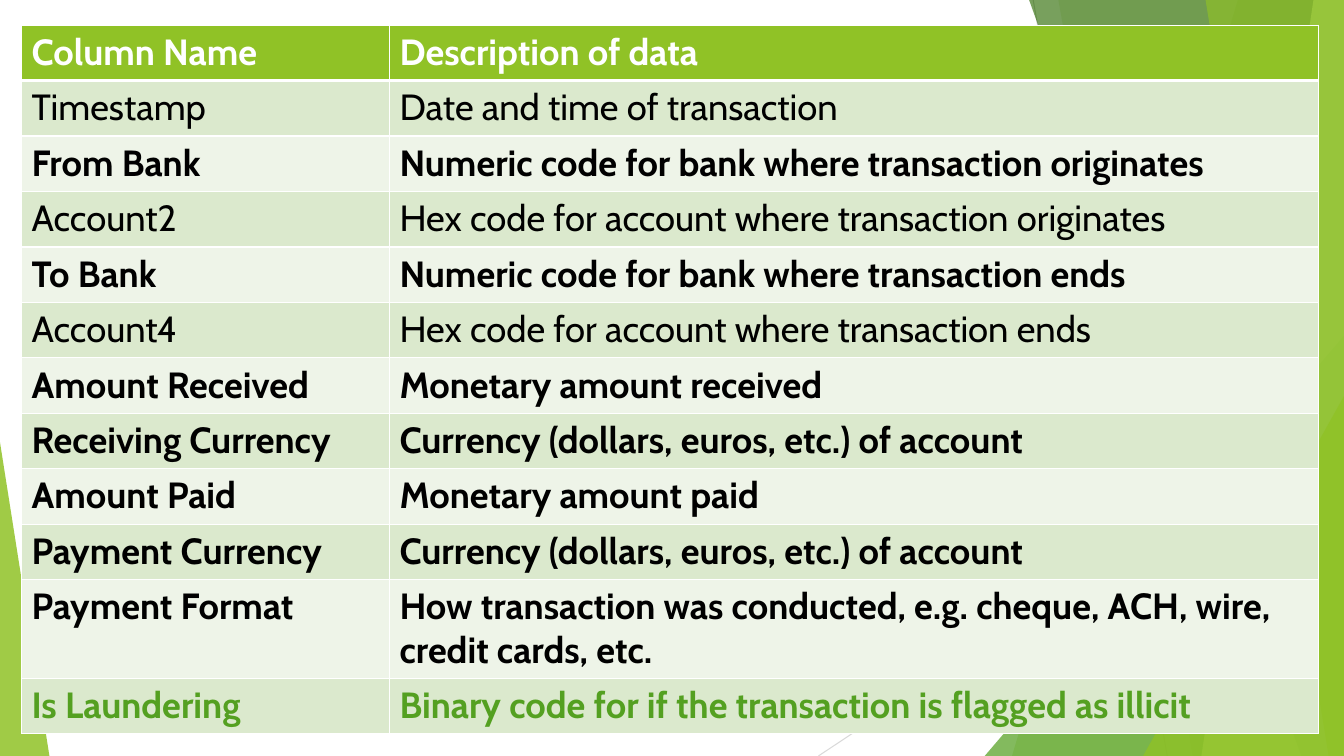
import pptx
import pptx.dml.color
import pptx.enum.shapes
import pptx.oxml
import pptx.oxml.ns
import pptx.util

Pt = pptx.util.Pt
SHAPE = pptx.enum.shapes.MSO_SHAPE
WIDTH, HEIGHT = 960, 540
LIME, GREEN, WHITE, BLACK = "90C226", "54A021", "FFFFFF", "000000"
BANDS = ("DBE9CD", "EEF4E8")
ROW_HEIGHT, TALL_ROW_HEIGHT = 39.6, 69.84
COLUMN_WIDTHS = (262.8, 663.84)

HEADER = {"size": Pt(26), "name": "Cabin", "bold": True, "color": WHITE}
PLAIN = {**HEADER, "bold": False, "color": BLACK}
BOLD = {**HEADER, "color": BLACK}
FLAG = {**HEADER, "color": GREEN}

ROWS = [
    ("Column Name", "Description of data", HEADER),
    ("Timestamp", "Date and time of transaction", PLAIN),
    ("From Bank", "Numeric code for bank where transaction originates", BOLD),
    ("Account2", "Hex code for account where transaction originates", PLAIN),
    ("To Bank", "Numeric code for bank where transaction ends", BOLD),
    ("Account4", "Hex code for account where transaction ends", PLAIN),
    ("Amount Received", "Monetary amount received", BOLD),
    ("Receiving Currency", "Currency (dollars, euros, etc.) of account", BOLD),
    ("Amount Paid", "Monetary amount paid", BOLD),
    ("Payment Currency", "Currency (dollars, euros, etc.) of account", BOLD),
    ("Payment Format", "How transaction was conducted, e.g. cheque, ACH, wire, credit cards, etc.", BOLD),
    ("Is Laundering", "Binary code for if the transaction is flagged as illicit", FLAG),
]
TALL_ROW = 10


def rgb(color):
    """Turn a hex string into a colour."""
    return pptx.dml.color.RGBColor.from_string(color)


def xml(tag, body="", attrs=""):
    """Build a drawing element from its tag, content and attributes."""
    ns = pptx.oxml.ns.nsdecls("a")
    return pptx.oxml.parse_xml(f"<a:{tag} {ns} {attrs}>{body}</a:{tag}>")


def paint(sp, color, opacity):
    """Fill a shape with a see-through colour and drop its outline and shadow."""
    sp.shadow.inherit = False
    sp.line.fill.background()
    sp.fill.solid()
    sp.fill.fore_color.rgb = rgb(color)
    fill = sp._element.spPr.find(pptx.oxml.ns.qn("a:solidFill"))
    fill[0].append(xml("alpha", attrs=f'val="{opacity * 1000}"'))


def add_ray(s, start, end, color):
    """Draw a thin background line."""
    c = s.shapes.add_connector(pptx.enum.shapes.MSO_CONNECTOR.STRAIGHT, *map(Pt, start + end))
    c.line.color.rgb = rgb(color)
    c.line.width = Pt(0.75)
    c._element.spPr.append(xml("effectLst"))


def add_facet(s, box, top_x, bottom_x, color, opacity):
    """Draw a facet from a slanted left edge to the right side of the box."""
    left, top, width, height = box
    right, bottom = left + width, top + height
    start, *rest = [(Pt(x), Pt(y)) for x, y in (
        (left + top_x, top), (right, top), (right, bottom), (left + bottom_x, bottom))]
    fb = s.shapes.build_freeform(*start)
    fb.add_line_segments(rest)
    paint(fb.convert_to_shape(), color, opacity)


def add_corner(s, box, apex, color, opacity):
    """Draw a right triangle filling the box, with its apex at the given share of the width."""
    sp = s.shapes.add_shape(SHAPE.ISOSCELES_TRIANGLE, *map(Pt, box))
    sp.adjustments[0] = apex
    paint(sp, color, opacity)


def add_backdrop(s, box):
    """Draw the lines and green facets behind the table."""
    left, top, width, height = box
    right, bottom = left + width, top + height
    add_ray(s, (left + 738, top), (left + 833.8, bottom), "BFBFBF")
    add_ray(s, (right, top + 290.2), (left + 584.6, bottom), "D9D9D9")
    add_facet(s, box, 884.2, 722.9, LIME, 30)
    add_facet(s, box, 756, 851.8, LIME, 20)
    add_corner(s, (right - 256.6, bottom - 300.2, 256.6, 300.2), 1, GREEN, 72)
    add_facet(s, box, 735.1, 929.5, "3F7819", 70)
    add_facet(s, box, 938.2, 858.2, "C0E474", 70)
    add_facet(s, box, 861.1, 949, LIME, 65)
    add_corner(s, (right - 143.5, bottom - 257, 143.5, 257), 1, LIME, 80)
    add_corner(s, (left, bottom - 224, 35.3, 224), 0, LIME, 85)


def set_borders(cell, row):
    """Give a cell white borders, thick between the header and the body."""
    widths = {"lnL": 1, "lnR": 1, "lnT": 3 if row == 1 else 1, "lnB": 3 if row == 0 else 1}
    fill = f'<a:solidFill><a:srgbClr val="{WHITE}"/></a:solidFill>'
    for i, (side, width) in enumerate(widths.items()):
        cell._tc.get_or_add_tcPr().insert(i, xml(side, fill, f'w="{Pt(width)}"'))


def fill_cell(cell, text, row, style):
    """Write and format one cell."""
    cell.fill.solid()
    cell.fill.fore_color.rgb = rgb(BANDS[(row - 1) % 2] if row else LIME)
    set_borders(cell, row)
    r = cell.text_frame.paragraphs[0].add_run()
    r.text = text
    for key, value in style.items():
        if key == "color":
            r.font.color.rgb = rgb(value)
        else:
            setattr(r.font, key, value)


def add_column_table(s, box):
    """Place the table that describes the data columns."""
    table = s.shapes.add_table(len(ROWS), len(COLUMN_WIDTHS), *map(Pt, box)).table
    for column, width in zip(table.columns, COLUMN_WIDTHS):
        column.width = Pt(width)
    for i, (name, description, style) in enumerate(ROWS):
        table.rows[i].height = Pt(TALL_ROW_HEIGHT if i == TALL_ROW else ROW_HEIGHT)
        for j, text in enumerate((name, description)):
            fill_cell(table.cell(i, j), text, i, style)


def main():
    """Build and save the slide."""
    prs = pptx.Presentation()
    prs.slide_width, prs.slide_height = Pt(WIDTH), Pt(HEIGHT)
    s = prs.slides.add_slide(prs.slide_layouts[6])
    add_backdrop(s, (0, 0, WIDTH, HEIGHT))
    table_height = ROW_HEIGHT * (len(ROWS) - 1) + TALL_ROW_HEIGHT
    add_column_table(s, (15.4, 18, sum(COLUMN_WIDTHS), table_height))
    prs.save("out.pptx")


if __name__ == "__main__":
    main()
